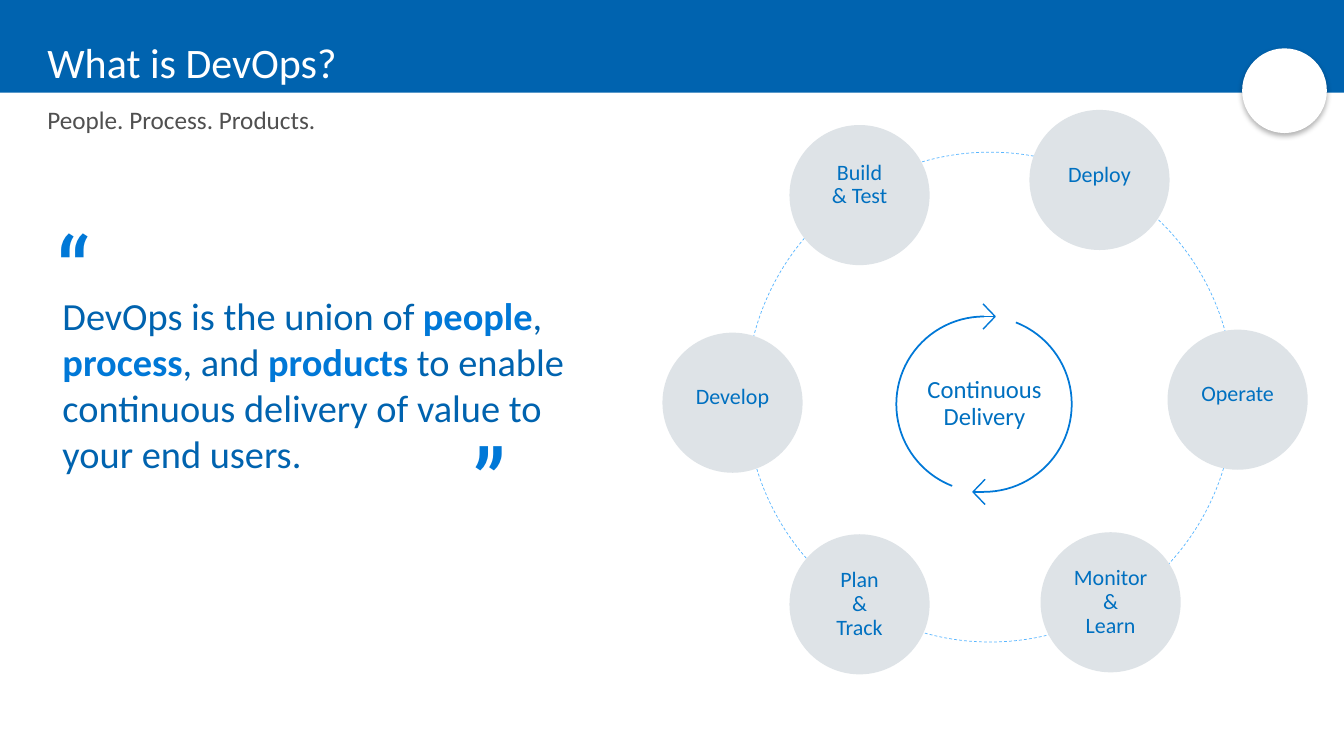
import dataclasses

import lxml.etree
import pptx
import pptx.dml.color
import pptx.enum.dml
import pptx.enum.shapes
import pptx.enum.text
import pptx.oxml
import pptx.oxml.ns
import pptx.util

Inches = pptx.util.Inches
Shapes = pptx.enum.shapes.MSO_SHAPE
Align = pptx.enum.text.PP_ALIGN
Anchor = pptx.enum.text.MSO_ANCHOR


@dataclasses.dataclass(frozen=True)
class Theme:
    """Colours, fonts and type sizes of the slide."""
    band: str = "0063AF"
    accent: str = "0078D7"
    label: str = "0070C0"
    stage: str = "DEE3E7"
    orbit: str = "58B6FF"
    grey: str = "505050"
    white: str = "FFFFFF"
    font: str = "Calibri"
    quote_font: str = "Roboto Slab"
    title_size: float = 30
    subtitle_size: float = 18
    quote_size: float = 27.4
    mark_size: float = 62.7
    hub_size: float = 17.6
    stage_size: float = 15.7


THEME = Theme()
STAGES = [
    ("Build\v& Test", 7.83, 1.24, 0.1),
    ("Deploy", 10.21, 1.09, 0.05),
    ("Operate", 11.58, 3.27, 0.05),
    ("Monitor\v&\vLearn", 10.32, 5.28, 0),
    ("Plan\v&\vTrack", 7.83, 5.3, 0),
    ("Develop", 6.57, 3.3, 0.05),
]
QUOTE = [
    ("DevOps is the union of ", False), ("people", True), (", ", False),
    ("process", True), (", and ", False), ("products", True),
    (" to enable continuous delivery of value to your end users.", False),
]


def colour(value):
    """Turn a hex string into a colour."""
    return pptx.dml.color.RGBColor.from_string(value)


def style_run(run, size, value, font=THEME.font, bold=False):
    """Set the font of one run."""
    run.font.name = font
    run.font.size = pptx.util.Pt(size)
    run.font.bold = bold
    run.font.color.rgb = colour(value)


def frame_text(shape, margins, anchor=Anchor.TOP):
    """Prepare a wrapping text frame with margins left, top, right, bottom."""
    frame = shape.text_frame
    frame.word_wrap = True
    frame.auto_size = pptx.enum.text.MSO_AUTO_SIZE.NONE
    frame.vertical_anchor = anchor
    frame.margin_left, frame.margin_top, frame.margin_right, frame.margin_bottom = map(Inches, margins)
    return frame


def write(shape, text, size, value, margins=(0, 0, 0, 0), anchor=Anchor.TOP,
          align=Align.LEFT, spacing=0.9, font=THEME.font):
    """Write one paragraph in a shape and format it."""
    frame = frame_text(shape, margins, anchor)
    frame.text = text
    paragraph = frame.paragraphs[0]
    paragraph.alignment = align
    paragraph.line_spacing = spacing
    paragraph.space_before = pptx.util.Pt(0)
    for run in paragraph.runs:
        style_run(run, size, value, font)
    return paragraph


def add_shape(slide, kind, left, top, width, height, fill=None, line=None, weight=1):
    """Add a flat preset shape."""
    shape = slide.shapes.add_shape(kind, *map(Inches, (left, top, width, height)))
    shape.shadow.inherit = False
    paint(shape, fill, line, weight)
    return shape


def paint(shape, fill=None, line=None, weight=1):
    """Set fill and line, leaving out whichever is not given."""
    if fill:
        shape.fill.solid()
        shape.fill.fore_color.rgb = colour(fill)
    else:
        shape.fill.background()
    if line:
        shape.line.color.rgb = colour(line)
        shape.line.width = pptx.util.Pt(weight)
    else:
        shape.line.fill.background()


def add_text_box(slide, left, top, width, height):
    """Add an empty text box."""
    return slide.shapes.add_textbox(*map(Inches, (left, top, width, height)))


def place(shape, left, top, width, height):
    """Move a placeholder and raise it to the front."""
    shape.left, shape.top, shape.width, shape.height = map(Inches, (left, top, width, height))
    shape.element.getparent().append(shape.element)


def add_header(slide, width):
    """Draw the band, its badge, the title and the subtitle."""
    add_shape(slide, Shapes.RECTANGLE, 0, 0, width, 0.92, THEME.band)
    badge = add_shape(slide, Shapes.OVAL, width - 1.01, 0.48, 0.84, 0.84, THEME.white)
    effects = badge.element.spPr.find(pptx.oxml.ns.qn("a:effectLst"))
    effects.append(pptx.oxml.parse_xml(
        f'<a:outerShdw {pptx.oxml.ns.nsdecls("a")} blurRad="50800" dist="25400" dir="5400000" rotWithShape="0">'
        '<a:srgbClr val="000000"><a:alpha val="30000"/></a:srgbClr></a:outerShdw>'))
    subtitle = slide.placeholders[1]
    place(subtitle, 0.47, 1.03, 12.4, 0.3)
    paragraph = write(subtitle, "People. Process. Products.", THEME.subtitle_size, THEME.grey, spacing=1)
    properties = paragraph._p.get_or_add_pPr()
    properties.set("marL", "0")
    properties.set("indent", "0")
    lxml.etree.SubElement(properties, pptx.oxml.ns.qn("a:buNone"))
    title = slide.shapes.title
    place(title, 0.47, 0.24, 12.4, 0.81)
    write(title, "What is DevOps?", THEME.title_size, THEME.white, (0, 0.18, 0, 0))


def add_quote(slide, left, top):
    """Write the definition between two large quotation marks."""
    box = add_text_box(slide, left, top, 5.8, 4.25)
    paragraph = frame_text(box, (0.15, 0.83, 0.2, 0.16)).paragraphs[0]
    for text, strong in QUOTE:
        run = paragraph.add_run()
        run.text = text
        style_run(run, THEME.quote_size, THEME.accent if strong else THEME.band, bold=strong)
    for mark, right, down in (("“", 0, 0), ("”", 4.13, 2.1)):
        box = add_text_box(slide, left + right, top + down, 0.83, 1.16)
        write(box, mark, THEME.mark_size, THEME.accent, (0.1, 0.05, 0.1, 0.05),
              spacing=1, font=THEME.quote_font)


def add_hub(slide, x, y, radius):
    """Draw the two circling arrows around the hub label."""
    label = add_text_box(slide, x - 0.9, y - 0.61, 1.81, 1.22)
    write(label, "Continuous\vDelivery", THEME.hub_size, THEME.label,
          anchor=Anchor.MIDDLE, align=Align.CENTER)
    for start, end, side in ((291.3, 90, -1), (111.3, 270, 1)):
        arc = add_shape(slide, Shapes.ARC, x - radius, y - radius, 2 * radius, 2 * radius,
                        line=THEME.accent, weight=1.25)
        arc.adjustments[0] = start * 0.6
        arc.adjustments[1] = end * 0.6
        level = y - side * radius
        tip = x + side * 0.11
        builder = slide.shapes.build_freeform(Inches(tip - side * 0.12), Inches(level - 0.125))
        builder.add_line_segments(
            [(Inches(tip), Inches(level)), (Inches(tip - side * 0.12), Inches(level + 0.125))], close=False)
        head = builder.convert_to_shape()
        head.shadow.inherit = False
        paint(head, line=THEME.accent)
        stem = slide.shapes.add_connector(
            pptx.enum.shapes.MSO_CONNECTOR.STRAIGHT, *map(Inches, (x, level, tip, level)))
        stem.line.color.rgb = colour(THEME.accent)
        stem.line.width = pptx.util.Pt(1)
        lxml.etree.SubElement(stem.element.spPr, pptx.oxml.ns.qn("a:effectLst"))


def add_cycle(slide, left, top, width, height):
    """Draw the dashed orbit, the hub and the six stages."""
    orbit = add_shape(slide, Shapes.OVAL, left, top, width, height, line=THEME.orbit, weight=0.5)
    orbit.line.dash_style = pptx.enum.dml.MSO_LINE.DASH
    add_hub(slide, left + width / 2 - 0.06, top + height / 2 + 0.07, 0.87)
    for text, stage_left, stage_top, lift in STAGES:
        stage = add_shape(slide, Shapes.OVAL, stage_left, stage_top, 1.39, 1.39, THEME.stage)
        write(stage, text, THEME.stage_size, THEME.label, (0, 0, 0, 2 * lift),
              Anchor.MIDDLE, Align.CENTER)


def main():
    """Build the slide and save it."""
    presentation = pptx.Presentation()
    presentation.slide_width = Inches(13.33)
    presentation.slide_height = Inches(7.5)
    slide = presentation.slides.add_slide(presentation.slide_layouts[1])
    add_header(slide, 13.33)
    add_quote(slide, 0.47, 2.07)
    add_cycle(slide, 7.4, 1.51, 4.84, 4.86)
    presentation.save("out.pptx")


if __name__ == "__main__":
    main()
